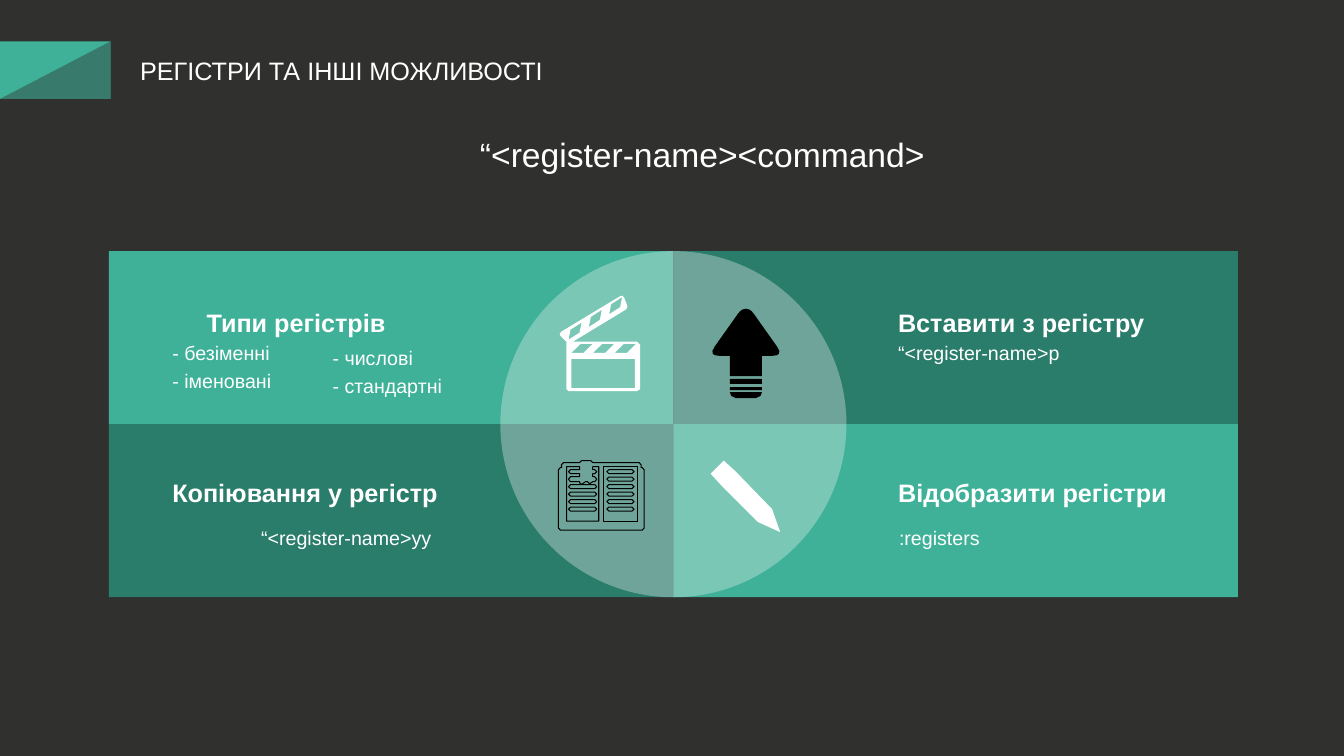
from lxml.etree import SubElement
from pptx import Presentation
from pptx.dml.color import RGBColor
from pptx.enum.shapes import MSO_SHAPE
from pptx.enum.text import MSO_ANCHOR, PP_ALIGN
from pptx.oxml.ns import qn
from pptx.util import Pt

DARK, LIGHT_GREEN, DEEP_GREEN = "30302F", "3EB198", "2B7D6B"
WHITE, PALE, BLACK = "FFFFFF", "F2F2F2", "000000"
FONT = "Arial"
LEFT, RIGHT = PP_ALIGN.LEFT, PP_ALIGN.RIGHT

TITLE = "РЕГІСТРИ ТА ІНШІ МОЖЛИВОСТІ"
# paragraphs, left, top, width, height, size, bold, alignment
TEXTS = [
    (["“<register-name><command>"], 337.7, 95.8, 322.6, 28.8, 24, False, RIGHT),
    (["Типи регістрів"], 147.6, 219.6, 176.4, 21.6, 18, True, LEFT),
    (["- безіменні", "- іменовані"], 123.1, 243.4, 83.5, 37.4, 14, False, LEFT),
    (["- числові", "- стандартні"], 237.6, 247, 83.5, 37.4, 14, False, LEFT),
    (["Вставити з регістру"], 641.5, 219.6, 184.3, 21.6, 18, True, LEFT),
    (["“<register-name>p"], 641.5, 243.4, 208.8, 17.3, 14, False, LEFT),
    (["Копіювання у регістр"], 123.1, 340.6, 221, 21.6, 18, True, LEFT),
    (["“<register-name>yy"], 111.6, 375.8, 196.6, 17.3, 14, False, RIGHT),
    (["Відобразити регістри"], 641.5, 340.6, 209.5, 21.6, 18, True, LEFT),
    ([":registers"], 642.2, 375.8, 208.8, 17.3, 14, False, LEFT),
]

# Middle of the four panels, and panel size
MID_X, MID_Y, PANEL_W, PANEL_H = 481, 303, 403.2, 123.6

# Icon outlines, relative to each icon's own corner
CLAPPER = [(55.4, 33.1), (9.4, 33.1), (10.8, 32.4), (47.5, 10.1), (48.6, 8.3),
           (48.2, 6.5), (46.1, 1.4), (45, 0.2), (43.2, 0.7), (1.4, 25.9),
           (0.2, 27.4), (0.7, 28.8), (5, 33.1), (5, 67), (6.5, 68.4),
           (55.4, 68.4), (57.6, 67), (57.6, 35.3)]
ARM_STRIPE = [(7.9, 24.5), (15.8, 19.4), (14.4, 26.6), (6.5, 31.7)]
BOARD_STRIPE = [(15.1, 34.6), (23.8, 34.6), (17.3, 41), (8.6, 41)]
PENCIL = [(9.4, 0), (0, 9.4), (7.9, 18), (33.8, 43.9), (49.7, 51.1),
          (43.9, 34.6), (18, 7.9)]
HALF_ARROW = [(0, 0.9), (2.5, 1.5), (4.2, 2.8), (5.8, 4.7), (22.3, 28), (23.9, 31),
              (23.6, 33.2), (21.9, 34.2), (18.7, 34.6), (11.5, 34.6), (11.5, 49)]
HALF_ARROW_FOOT = [(11.5, 60.5), (10.5, 63.2), (7.2, 64.8)]
ARROW_BARS = [(51.1, 3.6), (56.9, 2.2)]  # top, height
BOOK = [(61.2, 6.5), (59.8, 5), (59, 5), (59, 2.9), (57.6, 1.4), (24.5, 1.4), (23, 0),
        (16.6, 0), (15.1, 1.4), (3.6, 1.4), (2.2, 2.9), (2.2, 5), (1.4, 5), (0, 6.5),
        (0, 48.2), (1.4, 49.7), (59.8, 49.7), (61.2, 48.2)]
BOOKMARKED_PAGE = [
    (28.8, 43.2), (5.8, 43.2), (5.8, 4.3), (15.1, 4.3), (15.1, 6.5), (8.6, 6.5),
    (7.2, 7.9), (8.6, 9.4), (15.1, 9.4), (15.1, 11.5), (8.6, 11.5), (7.2, 13.3),
    (8.6, 15.1), (15.1, 15.1), (15.1, 15.8), (16.6, 17), (19.4, 15.1), (20.9, 15.1),
    (22.3, 16.6), (24.5, 15.1), (25.9, 15.1), (27.4, 13.3), (25.9, 11.5), (24.5, 11.5),
    (24.5, 9.4), (25.9, 9.4), (27.4, 7.9), (25.9, 6.5), (24.5, 6.5), (24.5, 4.3),
    (28.8, 4.3)]


def rgb(color):
    """Turn a hex string into a colour."""
    return RGBColor.from_string(color)


def paint(sp, fill=None, line=None, alpha=None):
    """Set fill, outline and opacity in percent; remove the shadow."""
    sp.shadow.inherit = False
    if fill:
        sp.fill.solid()
        sp.fill.fore_color.rgb = rgb(fill)
        if alpha:
            clr = next(sp.element.iter(qn("a:srgbClr")))
            SubElement(clr, qn("a:alpha")).set("val", str(alpha * 1000))
    else:
        sp.fill.background()
    if line:
        sp.line.color.rgb = rgb(line)
        sp.line.width = Pt(0.75)
    else:
        sp.line.fill.background()


def add_preset(kind, x, y, w, h, fill, alpha=None):
    """Add a preset shape without outline."""
    sp = s.shapes.add_shape(kind, Pt(x), Pt(y), Pt(w), Pt(h))
    paint(sp, fill, alpha=alpha)
    return sp


def add_outline(x, y, contours, fill=None, line=None):
    """Add one freeform of closed contours; inner ones are holes."""
    paths = [[(Pt(x + px), Pt(y + py)) for px, py in c] for c in contours]
    builder = s.shapes.build_freeform(*paths[0][0], scale=1.0)
    for i, path in enumerate(paths):
        if i:
            builder.move_to(*path[0])
        builder.add_line_segments(path[1:], close=True)
    paint(builder.convert_to_shape(), fill, line)


def shifted(points, dx, dy):
    """Move a list of points."""
    return [(x + dx, y + dy) for x, y in points]


def mirrored(half):
    """Complete a right half around the vertical axis."""
    return half + [(-x, y) for x, y in reversed(half)]


def text_line(left, right, row):
    """Outline of one printed line in the book."""
    y = 7.9 + 5.35 * row
    return [(left, y), (left + 1.4, y - 1.4), (right - 1.4, y - 1.4), (right, y),
            (right - 1.4, y + 1.4), (left + 1.4, y + 1.4)]


def write(sp, box, paragraphs, size, bold=False, align=LEFT, wrap=True):
    """Place a text shape and format its paragraphs."""
    sp.left, sp.top, sp.width, sp.height = map(Pt, box)
    tf = sp.text_frame
    tf.text = "\n".join(paragraphs)
    tf.word_wrap = wrap
    tf.margin_left = tf.margin_right = tf.margin_top = tf.margin_bottom = 0
    for p in tf.paragraphs:
        p.alignment = align
        p.space_before = Pt(round(size * 0.23, 1))
        for r in p.runs:
            r.font.name, r.font.size, r.font.bold = FONT, Pt(size), bold
            r.font.color.rgb = rgb(WHITE)


prs = Presentation()
prs.slide_width, prs.slide_height = Pt(960), Pt(540)
s = prs.slides.add_slide(prs.slide_layouts[5])
s.background.fill.solid()
s.background.fill.fore_color.rgb = rgb(DARK)

# Title and its flag
flag = (0, 29.5, 79, 41.2)
add_preset(MSO_SHAPE.RECTANGLE, *flag, LIGHT_GREEN)
fold = add_preset(MSO_SHAPE.RIGHT_TRIANGLE, *flag, DARK, 42)
fold.element.spPr.find(qn("a:xfrm")).set("flipH", "1")
write(s.shapes.title, (100.1, 36, 288, 29), [TITLE], 18, wrap=False)
s.shapes.title.text_frame.vertical_anchor = MSO_ANCHOR.MIDDLE

# Panels in a checkered grid, with the circle over their middle
for row in range(2):
    for col in range(2):
        add_preset(MSO_SHAPE.RECTANGLE, MID_X + (col - 1) * PANEL_W,
                   MID_Y + (row - 1) * PANEL_H, PANEL_W, PANEL_H,
                   LIGHT_GREEN if row == col else DEEP_GREEN)
add_preset(MSO_SHAPE.OVAL, MID_X - PANEL_H, MID_Y - PANEL_H,
           2 * PANEL_H, 2 * PANEL_H, PALE, 34)

# Clapperboard
window = [(8.6, 45.4), (54, 45.4), (54, 66.2), (8.6, 66.2)]
arm = [shifted(ARM_STRIPE, 14.5 * i, -9.1 * i) for i in range(3)]
board = [shifted(BOARD_STRIPE, 15.5 * i, 0) for i in range(3)]
add_outline(399.6, 211, [CLAPPER, window] + arm + board, WHITE)

# Arrow, placed by its axis
axis_x, arrow_y = 532.8, 219.6
for half in (HALF_ARROW, HALF_ARROW_FOOT):
    add_outline(axis_x, arrow_y, [mirrored(half)], BLACK)
for top, height in ARROW_BARS:
    add_preset(MSO_SHAPE.RECTANGLE, axis_x - 11.5, arrow_y + top, 23, height, BLACK)

# Book and pencil
right_page = [(32.4, 4.3), (56.2, 4.3), (56.2, 43.2), (32.4, 43.2)]
lines = [text_line(7.2, 27.4, row) for row in range(2, 6)]
lines += [text_line(34.6, 54, row) for row in range(6)]
add_outline(398.9, 329, [BOOK, BOOKMARKED_PAGE, right_page] + lines, line=BLACK)
add_outline(507.6, 329, [PENCIL], WHITE)

for paragraphs, x, y, w, h, size, bold, align in TEXTS:
    box = tuple(map(Pt, (x, y, w, h)))
    write(s.shapes.add_textbox(*box), (x, y, w, h), paragraphs, size, bold, align)

prs.save("out.pptx")
